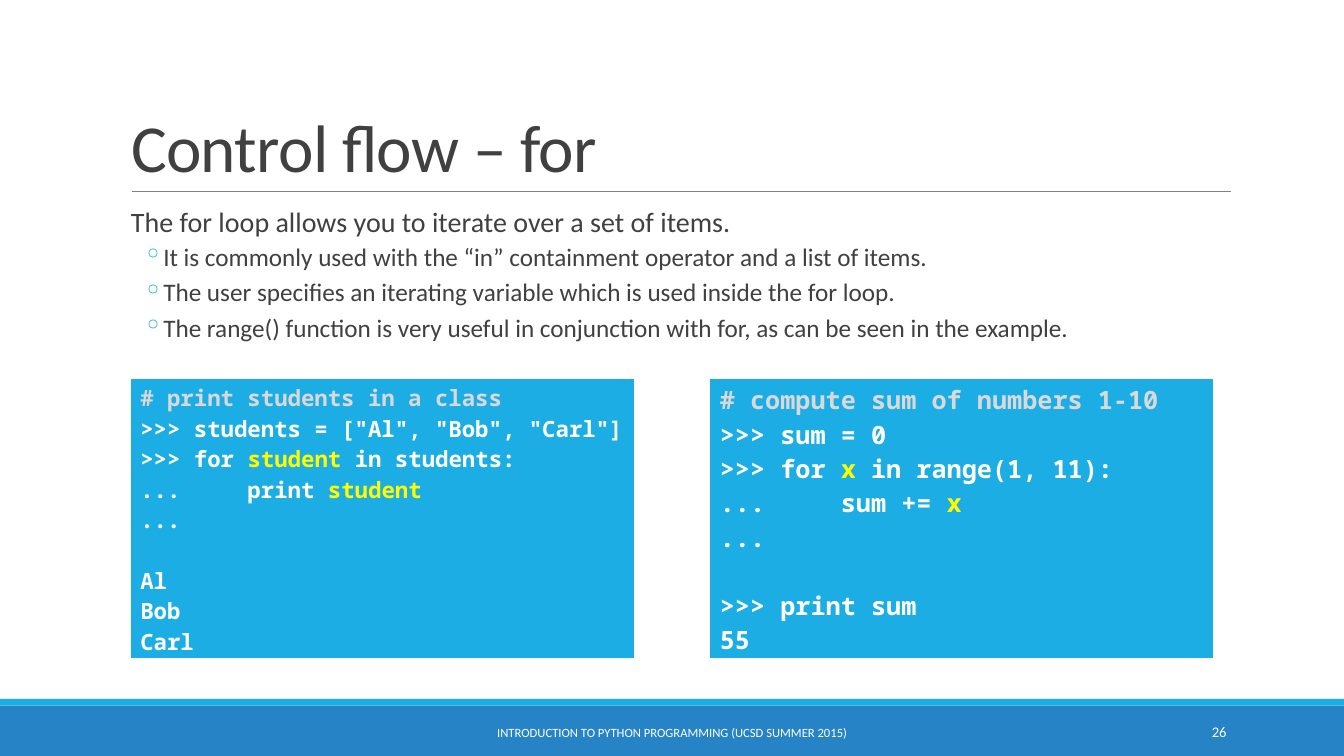
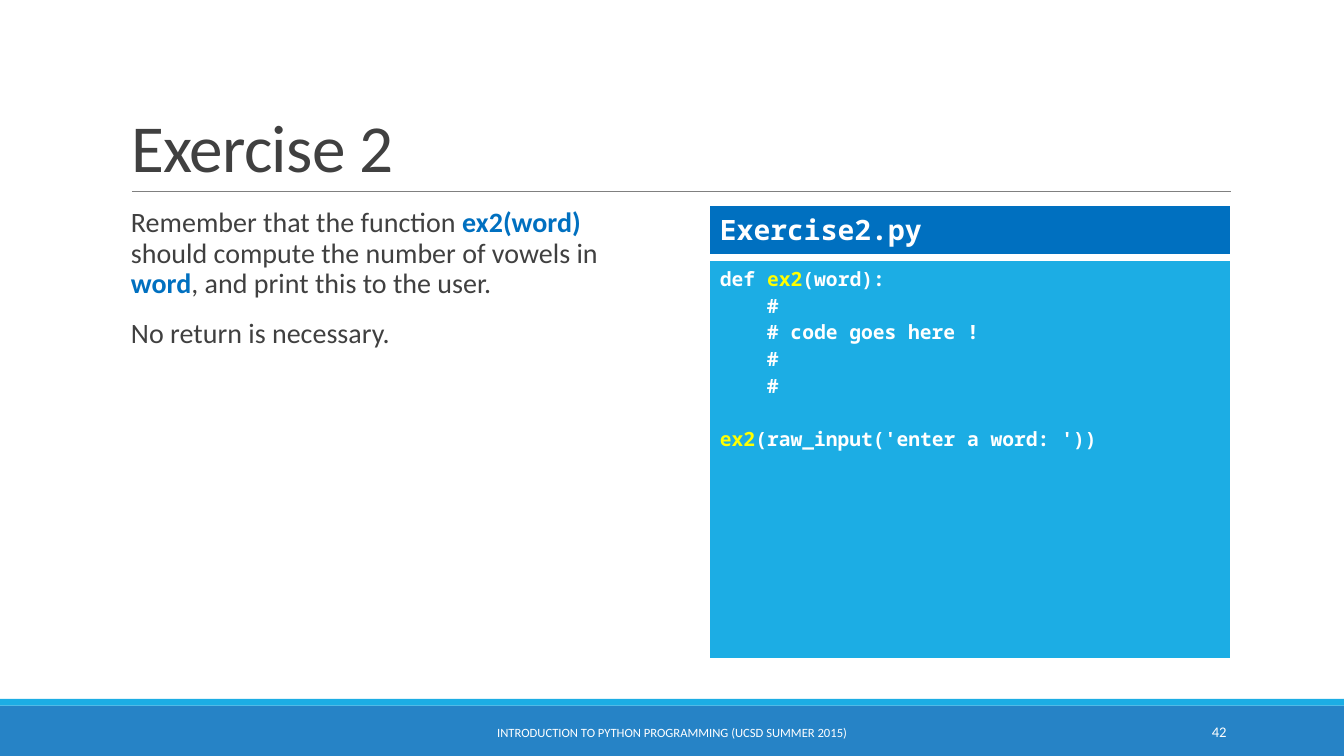
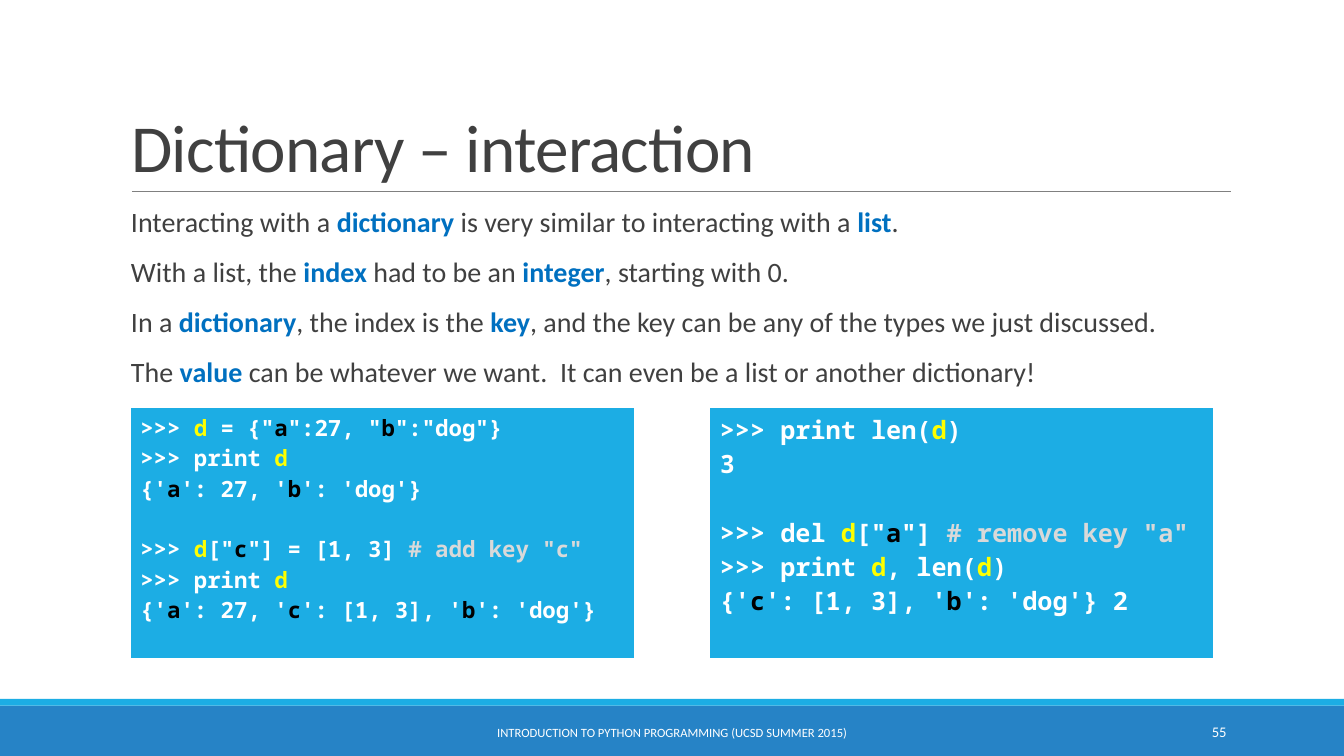
from lxml import etree
from pptx import Presentation
from pptx.dml.color import RGBColor
from pptx.enum.shapes import MSO_CONNECTOR, MSO_SHAPE
from pptx.enum.text import MSO_ANCHOR, MSO_AUTO_SIZE, PP_ALIGN
from pptx.oxml.ns import qn
from pptx.util import Emu, Inches, Pt

RECTANGLE, STRAIGHT = MSO_SHAPE.RECTANGLE, MSO_CONNECTOR.STRAIGHT
LEFT, CENTER, RIGHT = PP_ALIGN.LEFT, PP_ALIGN.CENTER, PP_ALIGN.RIGHT
BOTTOM, MIDDLE = MSO_ANCHOR.BOTTOM, MSO_ANCHOR.MIDDLE
NO_FIT = MSO_AUTO_SIZE.NONE

COLORS = {
    "white": "FFFFFF", "black": "000000", "yellow": "FFFF00", "comment": "D9D9D9",
    "text": "404040", "rule": "808080", "key": "0070C0",
    "sky": "1CADE4", "band": "2683C6",
}
TEXT_FONT, CODE_FONT = "Calibri", "Noto Sans Mono"
COLUMNS, ROWS, UNIT = 160, 90, Inches(1) // 12
LEFT_CODE, RIGHT_CODE, CODE_BOTTOM = 15.5, 84.5, 78.5
CODE_WIDTH, FILE_WIDTH = 60, 62
CODE_LINE_HEIGHT = 1.36
FOOTER = "INTRODUCTION TO PYTHON PROGRAMMING (UCSD SUMMER 2015)"
BORDERS = {"a:lnL": 1, "a:lnR": 1, "a:lnT": 1, "a:lnB": 3}

SLIDES = [
    {
        "title": "Control flow – for", "number": "26", "body_width": 132,
        "body": [
            (0, "The for loop allows you to iterate over a set of items."),
            (1, "It is commonly used with the “in” containment operator and a list of items."),
            (1, "The user specifies an iterating variable which is used inside the for loop."),
            (1, "The range() function is very useful in conjunction with for, as can be seen in the example."),
        ],
        "code": [
            (LEFT_CODE, 45, CODE_WIDTH, CODE_BOTTOM, "sky", 16, [
                "|comment:# print students in a class|",
                '>>> students = ["Al", "Bob", "Carl"]',
                ">>> for |yellow:student| in students:",
                "...     print |yellow:student|",
                "...",
                "",
                "Al",
                "Bob",
                "Carl",
            ]),
            (RIGHT_CODE, 45, CODE_WIDTH, CODE_BOTTOM, "sky", 18, [
                "|comment:# compute sum of numbers 1-10|",
                ">>> sum = 0",
                ">>> for |yellow:x| in range(1, 11):",
                "...     sum += |yellow:x|",
                "...",
                "",
                ">>> print sum",
                "55",
            ]),
        ],
    },
    {
        "title": "Exercise 2", "number": "42", "body_width": 61,
        "body": [
            (0, "Remember that the function |key:ex2(word)| should compute the number of vowels in "
                "|key:word|, and print this to the user."),
            (0, "No return is necessary."),
        ],
        "code": [
            (RIGHT_CODE, 31, FILE_WIDTH, CODE_BOTTOM, "sky", 14, [
                "def |yellow:ex2|(word):",
                "    #",
                "    # code goes here !",
                "    #",
                "    #",
                "",
                "|yellow:ex2|(raw_input('enter a word: '))",
            ]),
            (RIGHT_CODE, 24.5, FILE_WIDTH, 30.5, "key", 20, ["Exercise2.py"]),
        ],
    },
    {
        "title": "Dictionary – interaction", "number": "55", "body_width": 132,
        "body": [
            (0, "Interacting with a |key:dictionary| is very similar to interacting with a |key:list|."),
            (0, "With a list, the |key:index| had to be an |key:integer|, starting with 0."),
            (0, "In a |key:dictionary|, the index is the |key:key|, and the key can be any of the types "
                "we just discussed."),
            (0, "The |key:value| can be whatever we want.  It can even be a list or another dictionary!"),
        ],
        "code": [
            (LEFT_CODE, 48.5, CODE_WIDTH, CODE_BOTTOM, "sky", 16, [
                '>>> |yellow:d| = {"|black:a|":27, "|black:b|":"dog"}',
                ">>> print |yellow:d|",
                "{'|black:a|': 27, '|black:b|': 'dog'}",
                "",
                '>>> |yellow:d|["|black:c|"] = [1, 3] |comment:# add key "c"|',
                ">>> print |yellow:d|",
                "{'|black:a|': 27, '|black:c|': [1, 3], '|black:b|': 'dog'}",
            ]),
            (RIGHT_CODE, 48.5, CODE_WIDTH, CODE_BOTTOM, "sky", 18, [
                ">>> print len(|yellow:d|)",
                "3",
                "",
                '>>> del |yellow:d|["|black:a|"] |comment:# remove key "a"|',
                ">>> print |yellow:d|, len(|yellow:d|)",
                "{'|black:c|': [1, 3], '|black:b|': 'dog'} 2",
            ]),
        ],
    },
]


def grid(*cells):
    return [Emu(round(cell * UNIT)) for cell in cells]


def write(para, line, font, size, color, bold=False):
    for index, piece in enumerate(line.split("|")):
        marked = index % 2 == 1
        name, words = piece.split(":", 1) if marked else (color, piece)
        if words:
            span = para.add_run()
            span.text = words
            span.font.name = font
            span.font.size = Pt(size)
            span.font.bold = bold or marked
            span.font.color.rgb = RGBColor.from_string(COLORS[name])


deck = Presentation()
deck.slide_width, deck.slide_height = grid(COLUMNS, ROWS)

for content in SLIDES:
    page = deck.slides.add_slide(deck.slide_layouts[5])

    for top, height, color in [(84, 6, "band"), (83.2, 0.8, "sky")]:
        band = page.shapes.add_shape(RECTANGLE, *grid(0, top, COLUMNS, height))
        band.shadow.inherit = False
        band.fill.solid()
        band.fill.fore_color.rgb = RGBColor.from_string(COLORS[color])
        band.line.fill.background()

    rule = page.shapes.add_connector(STRAIGHT, *grid(15.7, 22.8, 146.5, 22.8))
    rule.line.color.rgb = RGBColor.from_string(COLORS["rule"])
    rule.line.width = Pt(0.5)
    etree.SubElement(rule._element.spPr, qn("a:effectLst"))

    title = page.shapes.title
    title.left, title.top, title.width, title.height = grid(14.4, 3.7, 132, 19.1)
    title.text_frame.auto_size = NO_FIT
    title.text_frame.vertical_anchor = BOTTOM
    para = title.text_frame.paragraphs[0]
    para.alignment = LEFT
    para.line_spacing = 0.85
    write(para, content["title"], TEXT_FONT, 48, "text")
    para.runs[0]._r.get_or_add_rPr().set("spc", "-50")

    body = page.shapes.add_textbox(*grid(14.4, 24.25, content["body_width"], 52.8)).text_frame
    body.word_wrap = True
    body.margin_left = body.margin_right = 0
    for index, (level, line) in enumerate(content["body"]):
        para = body.paragraphs[0] if index == 0 else body.add_paragraph()
        properties = para._p.get_or_add_pPr()
        properties.set("marL", str(Inches(0.42 if level else 0.1)))
        if level:
            properties.set("indent", str(Inches(-0.2)))
            tint = etree.SubElement(properties, qn("a:buClr"))
            etree.SubElement(tint, qn("a:srgbClr"), val=COLORS["sky"])
            etree.SubElement(properties, qn("a:buChar"), char="◦")
        para.line_spacing = 0.9
        if index:
            para.space_before = Pt(2 if level else 12)
        para.space_after = Pt(4 if level else 2)
        write(para, line, TEXT_FONT, 18 if level else 20, "text")

    for left, top, width, bottom, fill, size, lines in content["code"]:
        frame = page.shapes.add_table(1, 1, *grid(left, top, width, bottom - top))
        cell = frame.table.cell(0, 0)
        cell.margin_right = Inches(0.05)
        cell_properties = cell._tc.get_or_add_tcPr()
        for side, points in BORDERS.items():
            border = etree.SubElement(cell_properties, qn(side), w=str(Pt(points)))
            paint = etree.SubElement(border, qn("a:solidFill"))
            etree.SubElement(paint, qn("a:srgbClr"), val=COLORS["white"])
        cell.fill.solid()
        cell.fill.fore_color.rgb = RGBColor.from_string(COLORS[fill])
        for index, line in enumerate(lines):
            if not line:
                continue
            para = cell.text_frame.paragraphs[0] if index == 0 else cell.text_frame.add_paragraph()
            if index and not lines[index - 1]:
                para.space_before = Pt(size * CODE_LINE_HEIGHT)
            write(para, line, CODE_FONT, size, "white", bold=True)

    for left, width, alignment, size, words in [
        (48.4, 63.2, CENTER, 9, FOOTER),
        (130, 17.2, RIGHT, 10.5, content["number"]),
    ]:
        box = page.shapes.add_textbox(*grid(left, 84.75, width, 4.8)).text_frame
        box.word_wrap = True
        box.vertical_anchor = MIDDLE
        para = box.paragraphs[0]
        para.alignment = alignment
        write(para, words, TEXT_FONT, size, "white")

deck.save("out.pptx")
